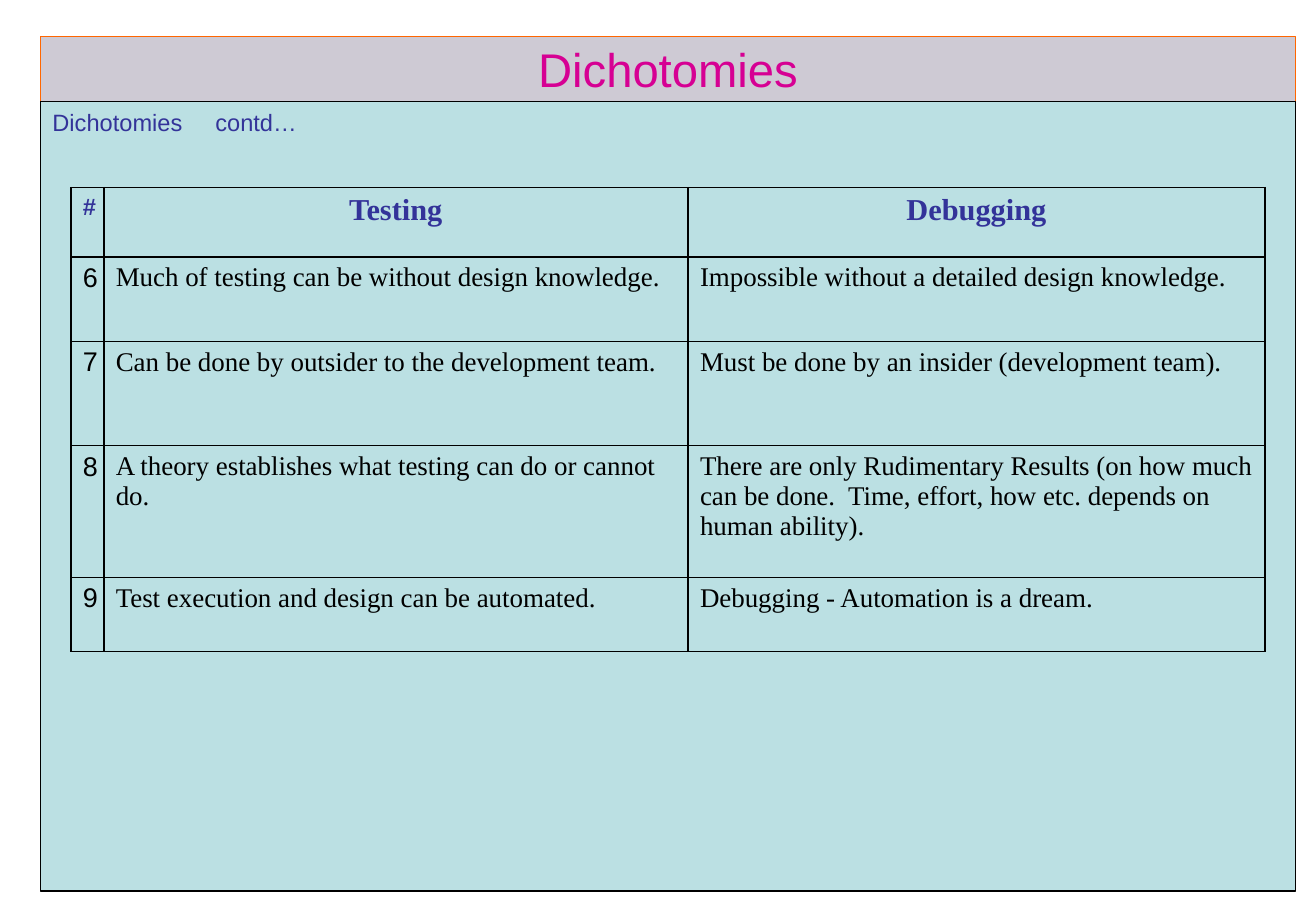
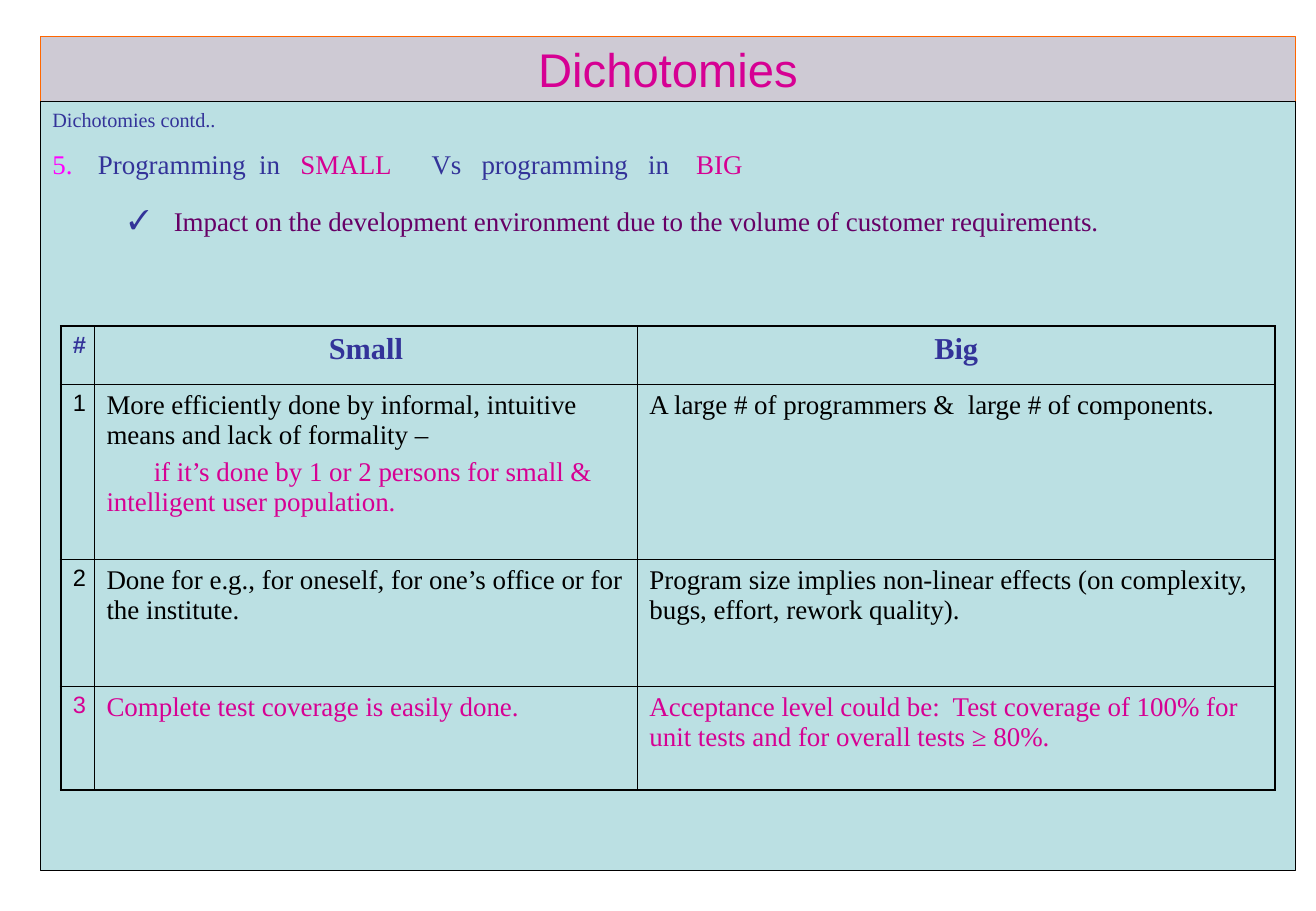
from lxml import etree
from pptx import Presentation
from pptx.dml.color import RGBColor
from pptx.enum.shapes import MSO_SHAPE
from pptx.enum.text import MSO_ANCHOR, PP_ALIGN
from pptx.oxml.ns import qn
from pptx.util import Pt

RECT = MSO_SHAPE.RECTANGLE
MIDDLE = MSO_ANCHOR.MIDDLE
CENTER = PP_ALIGN.CENTER

# Shared look
SANS, SERIF = "Arial", "Times New Roman"
BLACK, NAVY, PINK, PURPLE = "000000", "333399", "D60093", "660066"
MAGENTA, GREY, ORANGE, AQUA = "FF00FF", "CECAD4", "FF6600", "BBE0E3"
LEFT, WIDTH, TITLE_TOP, BODY_TOP = 24, 744.2, 21.6, 60.2
THIN, MEDIUM, THICK = 0.45, 1.08, 1.47


def rgb(value):
    return RGBColor.from_string(value)


def write(tf, paragraphs):
    """Each paragraph: runs as (text, colour) pairs, then its format values."""
    tf.word_wrap = True
    for i, (runs, fmt) in enumerate(paragraphs):
        p = tf.paragraphs[0] if i == 0 else tf.add_paragraph()
        pPr = p._p.get_or_add_pPr()
        for name in ("marL", "indent"):
            if name in fmt:
                pPr.set(name, str(Pt(fmt[name])))
        if "bullet" in fmt:
            tag, attributes, colour = fmt["bullet"]
            buClr = etree.SubElement(pPr, qn("a:buClr"))
            etree.SubElement(buClr, qn("a:srgbClr"), val=colour)
            etree.SubElement(pPr, qn("a:buFont"), typeface=SERIF)
            etree.SubElement(pPr, qn(tag), attributes)
        if "tab" in fmt:
            tabs = etree.SubElement(pPr, qn("a:tabLst"))
            etree.SubElement(tabs, qn("a:tab"), pos=str(Pt(fmt["tab"])), algn="l")
        for name in ("alignment", "space_before"):
            if name in fmt:
                setattr(p, name, fmt[name])
        for text, colour in runs:
            r = p.add_run()
            r.text = text
            r.font.color.rgb = rgb(colour)
            for name in ("name", "size", "bold"):
                if name in fmt:
                    setattr(r.font, name, fmt[name])


# Paragraph formats
title = {"name": SANS, "size": Pt(28), "alignment": CENTER}
hash_head = {"name": SANS, "size": Pt(14), "bold": True, "alignment": CENTER}
column_head = {"name": SERIF, "size": Pt(18), "bold": True, "alignment": CENTER}
cell_text = {"name": SERIF, "size": Pt(16)}
second_line = {**cell_text, "indent": 28, "space_before": Pt(4)}

# Slide contents
slides = [
    {
        "body_height": 468,
        "intro_height": 24.5,
        "intro": [([("Dichotomies\tcontd…", NAVY)],
                   {"name": SANS, "size": Pt(14), "tab": 96.6})],
        "table_at": (42, 111.2),
        "cols": (19.5, 346.5, 342.3),
        "rows": (41, 50, 62, 78, 44),
        "number_size": 16,
        "inner_line": THICK,
        "head_line": MEDIUM,
        "heads": ("Testing", "Debugging"),
        "cells": [
            ("6", BLACK, "Much of testing can be without design knowledge.",
             "Impossible without a detailed design knowledge."),
            ("7", BLACK, "Can be done by outsider to the development team.",
             "Must be done by an insider (development team)."),
            ("8", BLACK, "A theory establishes what testing can do or cannot do.",
             "There are only Rudimentary Results (on how much can be done.  "
             "Time, effort, how etc. depends on human ability)."),
            ("9", BLACK, "Test execution and design can be automated.",
             "Debugging - Automation is a dream."),
        ],
    },
    {
        "body_height": 456,
        "intro_height": 122.5,
        "intro": [
            ([("Dichotomies contd..", NAVY)], {"name": SERIF, "size": Pt(12)}),
            ([("Programming  in   ", NAVY), ("SMALL", PINK),
              ("      Vs   programming   in    ", NAVY), ("BIG", PINK)],
             {**cell_text, "marL": 27, "indent": -27, "space_before": Pt(9.6),
              "bullet": ("a:buAutoNum", {"type": "arabicPeriod", "startAt": "5"}, MAGENTA)}),
            ([("Impact on the development environment due to the volume of "
               "customer requirements.", PURPLE)],
             {**cell_text, "marL": 72, "indent": -26.6, "space_before": Pt(14.3),
              "bullet": ("a:buChar", {"char": "✓"}, NAVY)}),
        ],
        "table_at": (36, 193.3),
        "cols": (20, 322, 378.3),
        "rows": (34.5, 103.5, 75.5, 61.5),
        "number_size": 14,
        "inner_line": THIN,
        "head_line": THIN,
        "heads": ("Small", "Big"),
        "cells": [
            ("1", BLACK,
             "More efficiently done by informal, intuitive means and lack of formality –\n"
             "if it’s done by 1 or 2 persons for small & intelligent user population.",
             "A large # of programmers &  large # of components."),
            ("2", BLACK,
             "Done for e.g., for oneself, for one’s office or for the institute.",
             "Program size implies non-linear effects (on complexity, bugs, effort, "
             "rework quality)."),
            ("3", PINK, "Complete test coverage is easily done.",
             "Acceptance level could be:  Test coverage of 100% for unit tests and "
             "for overall tests ≥ 80%."),
        ],
    },
]

prs = Presentation()
prs.slide_width, prs.slide_height = Pt(780.48), Pt(540)

for content in slides:
    s = prs.slides.add_slide(prs.slide_layouts[6])

    # Title band and body panel
    bands = [(TITLE_TOP, BODY_TOP - TITLE_TOP, GREY, ORANGE),
             (BODY_TOP, content["body_height"], AQUA, BLACK)]
    for top, height, fill, line in bands:
        sp = s.shapes.add_shape(RECT, Pt(LEFT), Pt(top), Pt(WIDTH), Pt(height))
        sp.shadow.inherit = False
        sp.fill.solid()
        sp.fill.fore_color.rgb = rgb(fill)
        sp.line.color.rgb = rgb(line)
        sp.line.width = Pt(0.75)
        if fill == GREY:
            tf = sp.text_frame
            tf.vertical_anchor = MIDDLE
            tf.margin_top = tf.margin_bottom = 0
            write(tf, [([("Dichotomies", PINK)], title)])

    # Intro text
    box = s.shapes.add_textbox(Pt(LEFT), Pt(BODY_TOP), Pt(WIDTH),
                               Pt(content["intro_height"]))
    write(box.text_frame, content["intro"])

    # Comparison table
    cols, rows = content["cols"], content["rows"]
    left, top = content["table_at"]
    table = s.shapes.add_table(len(rows), len(cols), Pt(left), Pt(top),
                               Pt(sum(cols)), Pt(sum(rows))).table
    table.first_row = table.horz_banding = False
    for column, width in zip(table.columns, cols):
        column.width = Pt(width)
    for row, height in zip(table.rows, rows):
        row.height = Pt(height)

    # Table text
    number = {"name": SANS, "size": Pt(content["number_size"])}
    grid = [[[([("#", NAVY)], hash_head)]]
            + [[([(head, NAVY)], column_head)] for head in content["heads"]]]
    for label, colour, *texts in content["cells"]:
        line_cells = [[([(label, colour)], number)]]
        for text in texts:
            first, *rest = text.split("\n")
            line_cells.append([([(first, colour)], cell_text)]
                              + [([(more, PINK)], second_line) for more in rest])
        grid.append(line_cells)

    # Cell fill and borders
    inner, last_row, last_col = content["inner_line"], len(rows) - 1, len(cols) - 1
    for i, line_cells in enumerate(grid):
        for j, paragraphs in enumerate(line_cells):
            cell = table.cell(i, j)
            write(cell.text_frame, paragraphs)
            borders = {
                "a:lnL": MEDIUM if j == 0 else inner,
                "a:lnR": MEDIUM if j == last_col else inner,
                "a:lnT": MEDIUM if i == 0 else content["head_line"] if i == 1 else THIN,
                "a:lnB": MEDIUM if i == last_row else content["head_line"] if i == 0 else THIN,
            }
            tcPr = cell._tc.get_or_add_tcPr()
            for tag, width in borders.items():
                ln = etree.SubElement(tcPr, qn(tag), w=str(Pt(width)))
                fill = etree.SubElement(ln, qn("a:solidFill"))
                etree.SubElement(fill, qn("a:srgbClr"), val=BLACK)
            cell.fill.background()

prs.save("out.pptx")
